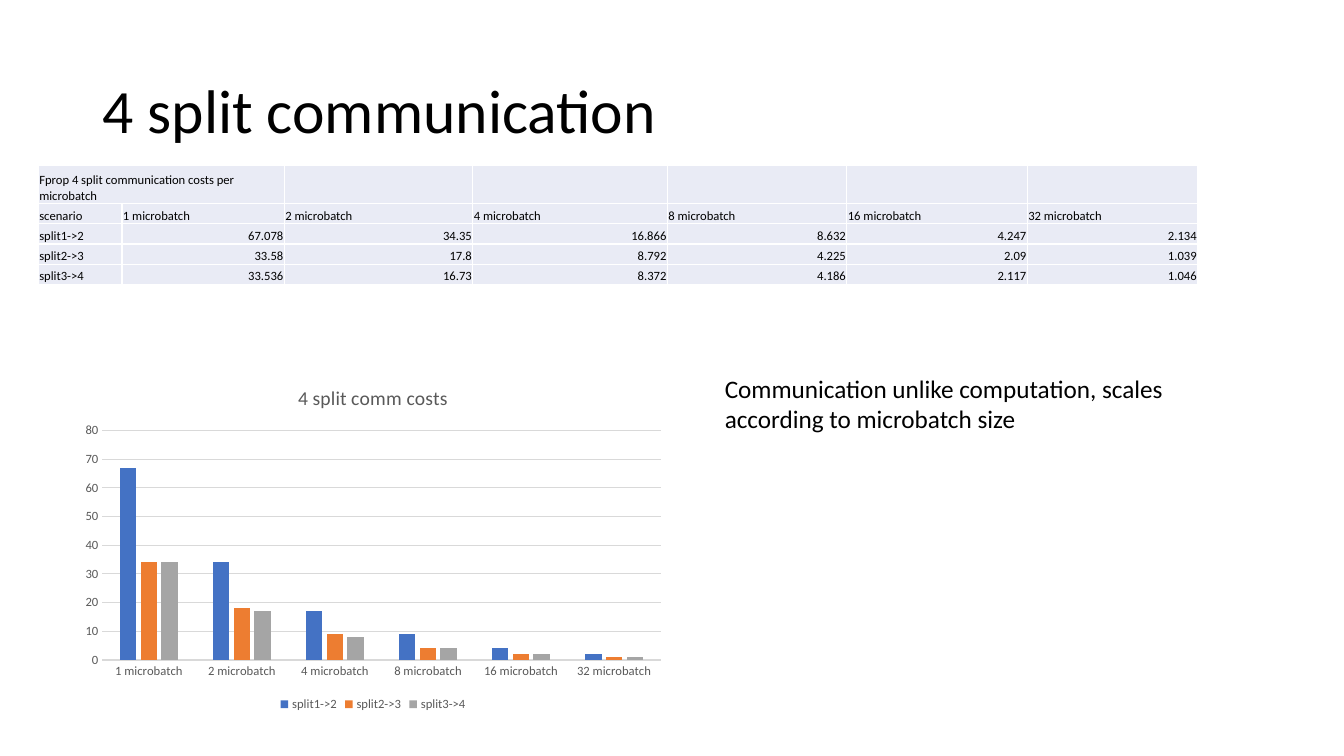
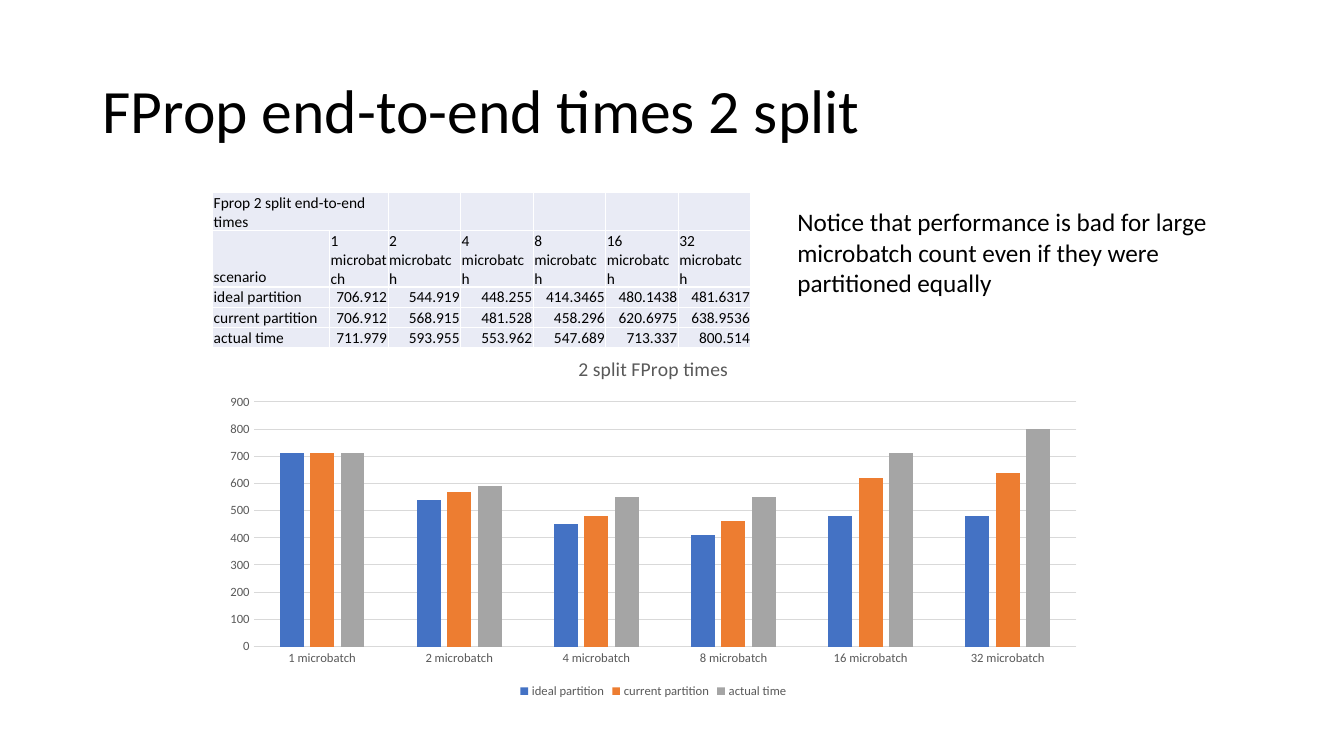
from lxml import etree
from pptx import Presentation
from pptx.chart.data import CategoryChartData
from pptx.dml.color import RGBColor
from pptx.enum.chart import XL_CHART_TYPE, XL_LEGEND_POSITION, XL_TICK_MARK
from pptx.enum.text import MSO_ANCHOR, MSO_AUTO_SIZE, PP_ALIGN
from pptx.oxml.ns import qn
from pptx.util import Pt

COLUMNS = XL_CHART_TYPE.COLUMN_CLUSTERED
LEGEND_BOTTOM = XL_LEGEND_POSITION.BOTTOM
NO_TICK = XL_TICK_MARK.NONE
MIDDLE, BOTTOM = MSO_ANCHOR.MIDDLE, MSO_ANCHOR.BOTTOM
GROW = MSO_AUTO_SIZE.SHAPE_TO_FIT_TEXT
LEFT, RIGHT = PP_ALIGN.LEFT, PP_ALIGN.RIGHT

PX = 9144  # 100 px to the inch
FONT = "Calibri"
COLORS = {
    "text": "000000",
    "muted": "595959",
    "grid": "D9D9D9",
    "cell": "E9EBF5",
    "border": "FFFFFF",
}
SERIES_COLORS = ["4472C4", "ED7D31", "A5A5A5"]
TITLE_BOX = (92, 40, 1150, 145)
CELL_FORMAT = {
    "margin_left": PX,
    "margin_right": PX,
    "margin_top": PX,
    "margin_bottom": 0,
    "vertical_anchor": BOTTOM,
}
MICROBATCHES = [f"{n} microbatch" for n in (1, 2, 4, 8, 16, 32)]

SLIDES = [
    {
        "title": "4 split communication",
        "table": {
            "box": (38, 164, 1150, 120),
            "caption": "Fprop 4 split communication costs per microbatch",
            "size": 9,
            "widths": [83, 161, 187, 193, 178, 179, 169],
            "heights": [38, 20, 20, 20, 20],
        },
        "chart": {
            "box": (73, 365, 594, 345),
            "title": "4 split comm costs",
            "top": 80,
            "step": 10,
            "digits": 0,
        },
        "note": ((709, 365, 533, 71),
                 "Communication unlike computation, scales according to microbatch size"),
        "data": {
            "split1->2": [67.078, 34.35, 16.866, 8.632, 4.247, 2.134],
            "split2->3": [33.58, 17.8, 8.792, 4.225, 2.09, 1.039],
            "split3->4": [33.536, 16.73, 8.372, 4.186, 2.117, 1.046],
        },
    },
    {
        "title": "FProp end-to-end times 2 split",
        "table": {
            "box": (211, 191, 535, 153),
            "caption": "Fprop 2 split end-to-end times",
            "size": 11,
            "widths": [116, 58] + [72] * 5,
            "heights": [20] * 5,
        },
        "chart": {
            "box": (211, 336, 874, 361),
            "title": "2 split FProp times",
            "top": 900,
            "step": 100,
            "digits": -1,
        },
        "note": ((781, 200, 448, 101),
                 "Notice that performance is bad for large microbatch count "
                 "even if they were partitioned equally"),
        "data": {
            "ideal partition": [706.912, 544.919, 448.255, 414.3465, 480.1438, 481.6317],
            "current partition": [706.912, 568.915, 481.528, 458.296, 620.6975, 638.9536],
            "actual time": [711.979, 593.955, 553.962, 547.689, 713.337, 800.514],
        },
    },
]


def emu(box):
    return [v * PX for v in box]


def rgb(name):
    return RGBColor.from_string(COLORS[name])


def style_font(font, size, color="text"):
    for name, value in {"name": FONT, "size": Pt(size), "bold": False}.items():
        setattr(font, name, value)
    font.color.rgb = rgb(color)


def style_line(line, color):
    line.color.rgb = rgb(color)
    line.width = Pt(0.75)


def add_text(slide, box, text, size, spacing=None, **frame_format):
    tf = slide.shapes.add_textbox(*emu(box)).text_frame
    for name, value in {"word_wrap": True, **frame_format}.items():
        setattr(tf, name, value)
    p = tf.paragraphs[0]
    p.line_spacing = spacing
    r = p.add_run()
    r.text = text
    style_font(r.font, size)


def add_borders(cell):
    """Draw all four edges; they must come before the fill in the cell properties."""
    props = cell._tc.get_or_add_tcPr()
    for i, edge in enumerate(("a:lnL", "a:lnR", "a:lnT", "a:lnB")):
        ln = etree.Element(qn(edge), w=str(Pt(1)))
        fill = etree.SubElement(ln, qn("a:solidFill"))
        etree.SubElement(fill, qn("a:srgbClr"), val=COLORS["border"])
        props.insert(i, ln)


def fill_cell(cell, value, size):
    for name, setting in CELL_FORMAT.items():
        setattr(cell, name, setting)
    cell.fill.solid()
    cell.fill.fore_color.rgb = rgb("cell")
    add_borders(cell)
    if value is None:
        return
    p = cell.text_frame.paragraphs[0]
    p.alignment = LEFT if isinstance(value, str) else RIGHT
    r = p.add_run()
    r.text = str(value)
    style_font(r.font, size)


def add_data_table(slide, data, box, caption, size, widths, heights):
    rows = [[caption] + [None] * len(MICROBATCHES), ["scenario"] + MICROBATCHES]
    rows += [[name] + values for name, values in data.items()]
    table = slide.shapes.add_table(len(heights), len(widths), *emu(box)).table
    table.first_row = table.horz_banding = False
    for column, width in zip(table.columns, widths):
        column.width = width * PX
    for row, height in zip(table.rows, heights):
        row.height = height * PX
    table.cell(0, 0).merge(table.cell(0, 1))
    for i, values in enumerate(rows):
        for j, value in enumerate(values):
            fill_cell(table.cell(i, j), value, size)


def add_column_chart(slide, data, box, title, top, step, digits):
    chart_data = CategoryChartData()
    chart_data.categories = MICROBATCHES
    for name, values in data.items():
        chart_data.add_series(name, [round(v, digits) for v in values])
    chart = slide.shapes.add_chart(COLUMNS, *emu(box), chart_data).chart
    style_font(chart.font, 10)

    chart.has_title = True
    p = chart.chart_title.text_frame.paragraphs[0]
    r = p.add_run()
    r.text = title
    style_font(r.font, 14, "muted")
    chart.chart_title.include_in_layout = False

    chart.has_legend = True
    chart.legend.position = LEGEND_BOTTOM
    chart.legend.include_in_layout = False
    style_font(chart.legend.font, 9, "muted")

    plot = chart.plots[0]
    for name, value in {"gap_width": 219, "overlap": -27, "vary_by_categories": False}.items():
        setattr(plot, name, value)
    for series, color in zip(plot.series, SERIES_COLORS):
        series.format.fill.solid()
        series.format.fill.fore_color.rgb = RGBColor.from_string(color)

    for axis in (chart.category_axis, chart.value_axis):
        axis.major_tick_mark = axis.minor_tick_mark = NO_TICK
        style_font(axis.tick_labels.font, 9, "muted")
    style_line(chart.category_axis.format.line, "grid")
    scale = {"minimum_scale": 0, "maximum_scale": top, "major_unit": step}
    for name, value in scale.items():
        setattr(chart.value_axis, name, value)
    chart.value_axis.format.line.fill.background()
    style_line(chart.value_axis.major_gridlines.format.line, "grid")


def add_results_slide(prs, title, table, chart, note, data):
    slide = prs.slides.add_slide(prs.slide_layouts[6])
    add_text(slide, TITLE_BOX, title, 44, 0.9, vertical_anchor=MIDDLE)
    add_column_chart(slide, data, **chart)
    add_data_table(slide, data, **table)
    add_text(slide, *note, 18, auto_size=GROW)


def main():
    prs = Presentation()
    prs.slide_width, prs.slide_height = 1333 * PX, 750 * PX
    for content in SLIDES:
        add_results_slide(prs, **content)
    prs.save("out.pptx")


if __name__ == "__main__":
    main()
